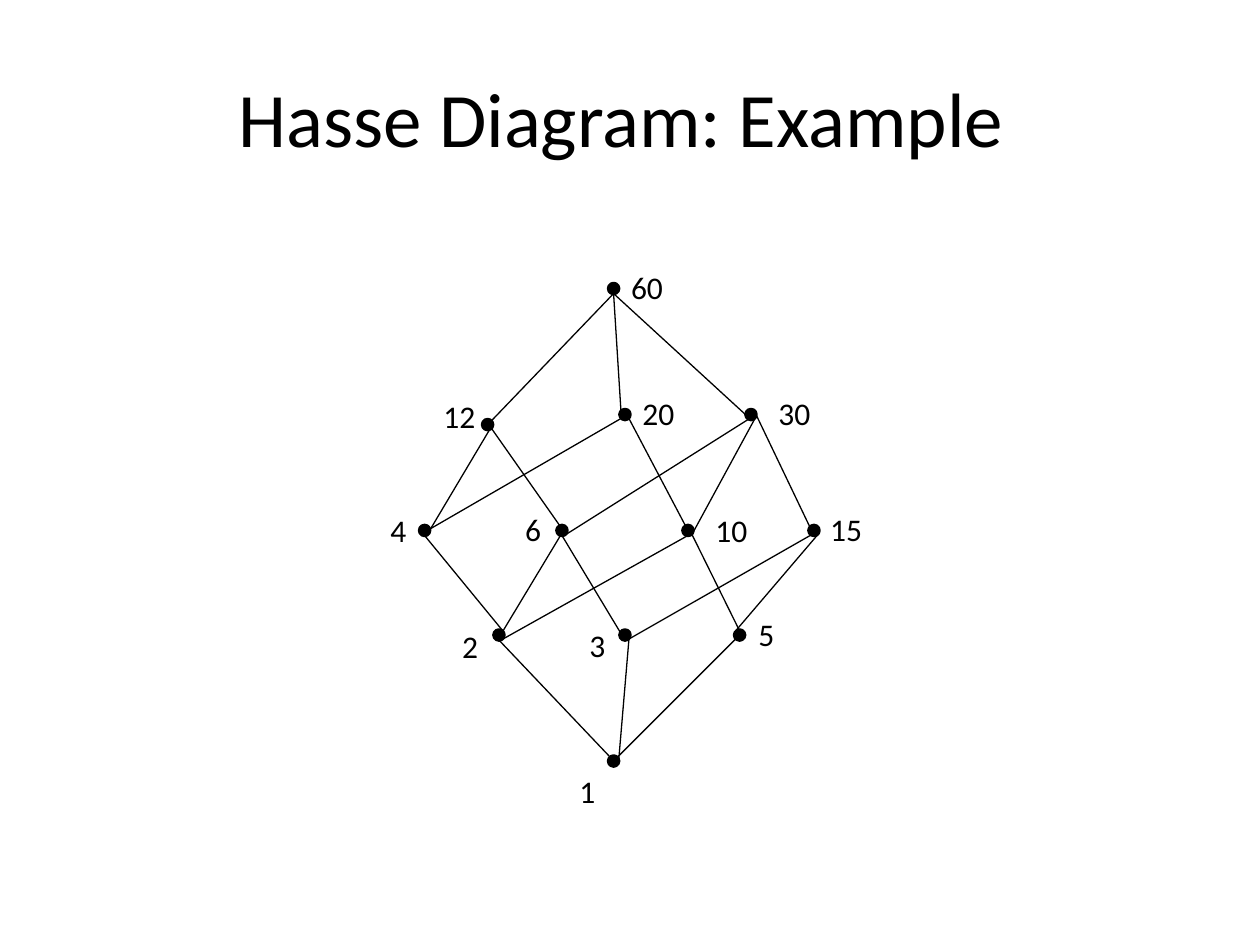
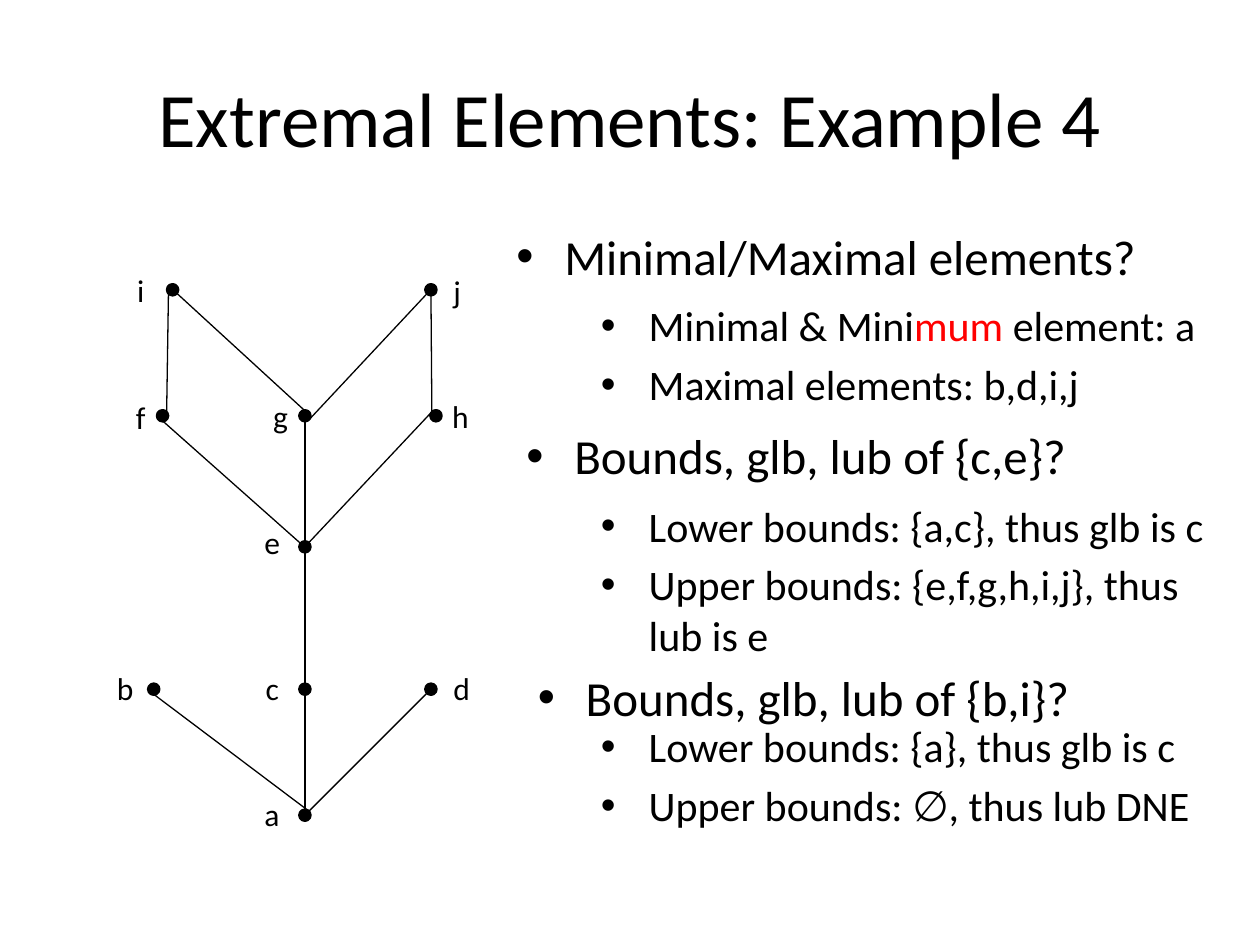
import pptx
import pptx.util
import pptx.dml.color
import pptx.enum.shapes
import pptx.enum.text
from dataclasses import dataclass
from lxml import etree
from pptx.util import Inches


# Shared look
@dataclass(frozen=True)
class Theme:
    font: str = "Calibri"
    ink: pptx.dml.color.RGBColor = pptx.dml.color.RGBColor(0, 0, 0)
    accent: pptx.dml.color.RGBColor = pptx.dml.color.RGBColor(255, 0, 0)
    title_size: int = 44
    question_size: int = 28
    answer_size: int = 24
    label_size: int = 18
    dot_size: float = 0.08
    dot_line: float = 2
    edge_line: float = 0.75


theme = Theme()
DRAWING = "http://schemas.openxmlformats.org/drawingml/2006/main"

# Points of a dot where an edge may end, as shares of its size
ANCHORS = {
    "n": (0.5, 0), "ne": (0.9, 0.1), "e": (1, 0.5), "se": (0.9, 0.9),
    "s": (0.5, 1), "sw": (0.1, 0.9), "nw": (0.1, 0.1), "c": (0.5, 0.5),
}
NARROW_LABELS = {"i": 0.26, "j": 0.26, "f": 0.27}


def set_font(paragraph, size):
    paragraph.font.name = theme.font
    paragraph.font.size = pptx.util.Pt(size)
    paragraph.font.color.rgb = theme.ink


def add_bullets(slide, left, top, height, level, size, texts):
    """Each text is a list of (words, colour) pairs."""
    box = slide.shapes.add_textbox(Inches(left), Inches(top), Inches(5.75), Inches(height))
    frame = box.text_frame
    frame.word_wrap = True
    for index, pieces in enumerate(texts):
        paragraph = frame.paragraphs[0] if index == 0 else frame.add_paragraph()
        paragraph.level = level
        paragraph.space_before = pptx.util.Pt(size * 0.2)
        set_font(paragraph, size)
        for words, colour in pieces:
            run = paragraph.add_run()
            run.text = words
            run.font.color.rgb = colour
        properties = paragraph._p.get_or_add_pPr()
        properties.set("marL", str(Inches(0.38 + 0.5 * level)))
        properties.set("indent", str(Inches(-0.38)))
        bullet_font = etree.SubElement(properties, f"{{{DRAWING}}}buFont")
        bullet_font.set("typeface", "Arial")
        bullet = etree.SubElement(properties, f"{{{DRAWING}}}buChar")
        bullet.set("char", "•")
        # Default run properties come after the bullet in the schema
        for defaults in properties.findall(f"{{{DRAWING}}}defRPr"):
            properties.append(defaults)


# Diagrams: name -> dot left, dot top, label left, label top
divisor_nodes = {
    "1": (4.83, 6, 4.5, 6.08),
    "2": (3.92, 5, 3.57, 4.93),
    "3": (4.92, 5, 4.58, 4.92),
    "5": (5.83, 5, 5.92, 4.83),
    "4": (3.33, 4.17, 3, 4.01),
    "6": (4.42, 4.17, 4.07, 4),
    "10": (5.42, 4.17, 5.58, 4.01),
    "15": (6.42, 4.17, 6.49, 4),
    "12": (3.83, 3.33, 3.42, 3.1),
    "20": (4.92, 3.25, 5, 3.08),
    "30": (5.92, 3.25, 6.08, 3.08),
    "60": (4.83, 2.25, 4.91, 2.08),
}
# Edges: lower node, its anchor, upper node, its anchor
divisor_edges = [
    "1 se 2 s", "1 e 3 se", "1 ne 5 sw",
    "2 ne 4 s", "2 ne 6 ne", "2 se 10 s",
    "3 s 6 s", "3 se 15 e", "5 se 10 se", "5 nw 15 se",
    "4 e 12 e", "4 sw 20 sw", "6 se 12 se", "6 se 30 e",
    "10 c 20 se", "10 se 30 se", "15 s 30 e",
    "12 ne 60 s", "20 nw 60 s", "30 s 60 s",
]
letter_nodes = {
    "a": (2.38, 6.43, 2, 6.26),
    "b": (1.18, 5.43, 0.83, 5.26),
    "c": (2.38, 5.43, 2.01, 5.26),
    "d": (3.38, 5.43, 3.5, 5.26),
    "e": (2.38, 4.3, 2, 4.1),
    "f": (1.25, 3.26, 0.98, 3.11),
    "g": (2.38, 3.26, 2.07, 3.1),
    "h": (3.42, 3.26, 3.49, 3.1),
    "i": (1.33, 2.26, 0.99, 2.1),
    "j": (3.38, 2.26, 3.5, 2.11),
}
letter_edges = [
    "a ne b s", "a n c n", "a ne d sw", "c n e s",
    "e se f s", "e s g s", "e c h nw",
    "f se i nw", "g n i nw", "g se j sw", "h sw j n",
]

presentation = pptx.Presentation()
presentation.slide_width = Inches(10)
presentation.slide_height = Inches(7.5)

# The trailing space shifts the first centred title slightly left
for title_text, nodes, edges in [
    ("Hasse Diagram: Example ", divisor_nodes, divisor_edges),
    ("Extremal Elements: Example 4", letter_nodes, letter_edges),
]:
    slide = presentation.slides.add_slide(presentation.slide_layouts[5])

    # Title
    title = slide.shapes.title
    title.left, title.top = Inches(0.5), Inches(0.3)
    title.width, title.height = Inches(9), Inches(1.25)
    title.text_frame.text = title_text
    title.text_frame.vertical_anchor = pptx.enum.text.MSO_ANCHOR.MIDDLE
    title.text_frame.paragraphs[0].alignment = pptx.enum.text.PP_ALIGN.CENTER
    set_font(title.text_frame.paragraphs[0], theme.title_size)

    # Edges
    for edge in edges:
        lower, lower_anchor, upper, upper_anchor = edge.split()
        ends = []
        for name, anchor in ((lower, lower_anchor), (upper, upper_anchor)):
            for start, share in zip(nodes[name][:2], ANCHORS[anchor]):
                ends.append(Inches(start + share * theme.dot_size))
        line = slide.shapes.add_connector(pptx.enum.shapes.MSO_CONNECTOR.STRAIGHT, *ends)
        line.line.color.rgb = theme.ink
        line.line.width = pptx.util.Pt(theme.edge_line)
        etree.SubElement(line._element.spPr, f"{{{DRAWING}}}effectLst")

    # Dots and their labels
    for name, (dot_left, dot_top, label_left, label_top) in nodes.items():
        dot = slide.shapes.add_shape(
            pptx.enum.shapes.MSO_SHAPE.OVAL, Inches(dot_left), Inches(dot_top),
            Inches(theme.dot_size), Inches(theme.dot_size))
        dot.shadow.inherit = False
        dot.fill.solid()
        dot.fill.fore_color.rgb = theme.ink
        dot.line.color.rgb = theme.ink
        dot.line.width = pptx.util.Pt(theme.dot_line)

        width = NARROW_LABELS.get(name, 0.2 + 0.14 * len(name))
        label = slide.shapes.add_textbox(
            Inches(label_left), Inches(label_top), Inches(width), Inches(0.4))
        label.text_frame.word_wrap = False
        label.text_frame.auto_size = pptx.enum.text.MSO_AUTO_SIZE.SHAPE_TO_FIT_TEXT
        label.text_frame.text = name
        set_font(label.text_frame.paragraphs[0], theme.label_size)

# Questions and answers beside the second diagram
for left, top, question, answer_top, answer_height, answers in [
    (4, 1.75, "Minimal/Maximal elements?", 2.33, 1, [
        [("Minimal & Mini", theme.ink), ("mum", theme.accent), (" element: a", theme.ink)],
        [("Maximal elements: b,d,i,j", theme.ink)]]),
    (4.08, 3.33, "Bounds, glb, lub of {c,e}?", 3.92, 1.42, [
        [("Lower bounds: {a,c}, thus glb is c", theme.ink)],
        [("Upper bounds: {e,f,g,h,i,j}, thus lub is e", theme.ink)]]),
    (4.17, 5.25, "Bounds, glb, lub of {b,i}?", 5.67, 1.08, [
        [("Lower bounds: {a}, thus glb is c", theme.ink)],
        [("Upper bounds: ∅, thus lub DNE", theme.ink)]]),
]:
    add_bullets(slide, left, top, 0.67, 0, theme.question_size, [[(question, theme.ink)]])
    add_bullets(slide, 4.17, answer_top, answer_height, 1, theme.answer_size, answers)

presentation.save("out.pptx")
